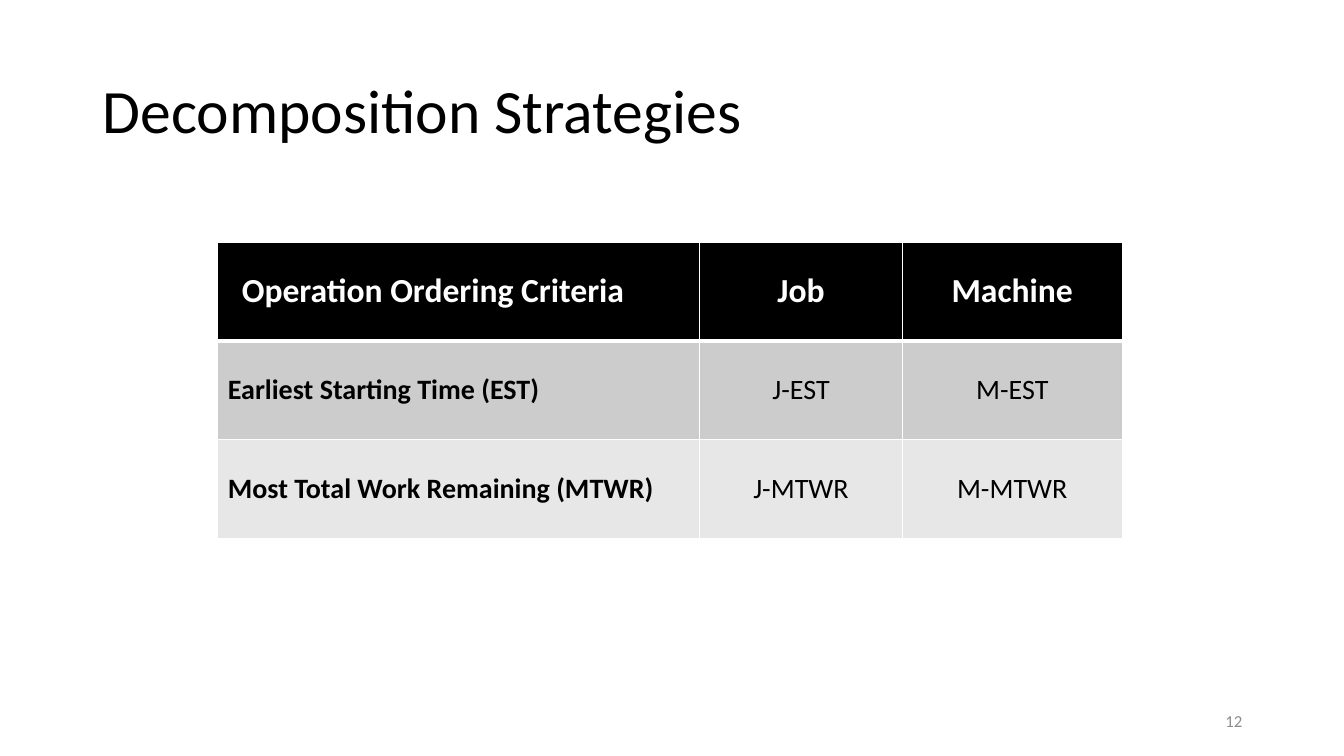
from dataclasses import dataclass

from lxml import etree
from pptx import Presentation
from pptx import util as u
from pptx.dml.color import RGBColor
from pptx.enum import text as t
from pptx.oxml import ns

BLACK = RGBColor(0x00, 0x00, 0x00)
WHITE = RGBColor(0xFF, 0xFF, 0xFF)
DARK = RGBColor(0xCC, 0xCC, 0xCC)
LIGHT = RGBColor(0xE7, 0xE7, 0xE7)
GRAY = RGBColor(0x8C, 0x8C, 0x8C)
LEFT, MID, RIGHT = t.PP_ALIGN.LEFT, t.PP_ALIGN.CENTER, t.PP_ALIGN.RIGHT


@dataclass
class Style:
    size: int
    color: RGBColor
    bold: bool = False
    align: t.PP_ALIGN = LEFT


@dataclass
class Row:
    words: tuple[str, str, str]
    fill: RGBColor
    head: bool = False


@dataclass
class Label:
    words: str
    box: tuple[float, float, float, float]
    style: Style
    anchor: t.MSO_ANCHOR


ROWS = [
    Row(("", "Job", "Machine"), BLACK, head=True),
    Row(("Earliest Starting Time (EST)", "J-EST", "M-EST"), DARK),
    Row(("Most Total Work Remaining (MTWR)", "J-MTWR", "M-MTWR"), LIGHT),
]
COLS = (4.78, 2.01, 2.18)
TALL = 0.98
LABELS = [
    Label("Operation Ordering Criteria", (2.3, 2.62, 4.2, 0.5),
          Style(24, WHITE, bold=True), t.MSO_ANCHOR.TOP),
    Label("12", (9.42, 6.95, 3, 0.4),
          Style(12, GRAY, align=RIGHT), t.MSO_ANCHOR.MIDDLE),
]


def write(frame, words: str, style: Style) -> None:
    para = frame.paragraphs[0]
    para.alignment = style.align
    if not words:
        return
    run = para.add_run()
    run.text = words
    font = run.font
    font.name, font.size, font.bold = "Calibri", u.Pt(style.size), style.bold
    font.color.rgb = style.color


def place(shape, box: tuple[float, float, float, float]) -> None:
    shape.left, shape.top, shape.width, shape.height = map(u.Inches, box)


def edge(cell, side: str, width: int) -> None:
    props = cell._tc.get_or_add_tcPr()
    line = etree.SubElement(props, ns.qn(f"a:ln{side}"), w=str(u.Pt(width)))
    fill = etree.SubElement(line, ns.qn("a:solidFill"))
    etree.SubElement(fill, ns.qn("a:srgbClr"), val=str(WHITE))


def add_grid(slide) -> None:
    grid = slide.shapes.add_table(
        len(ROWS), len(COLS), u.Inches(2.16), u.Inches(2.4),
        u.Inches(sum(COLS)), u.Inches(TALL * len(ROWS))).table
    for col, width in zip(grid.columns, COLS):
        col.width = u.Inches(width)
    for i, row in enumerate(ROWS):
        grid.rows[i].height = u.Inches(TALL)
        for j, words in enumerate(row.words):
            cell = grid.cell(i, j)
            # A thick rule parts the header from the body
            for side, width in (("L", 1), ("R", 1), ("T", 3 if i == 1 else 1),
                                ("B", 3 if row.head else 1)):
                edge(cell, side, width)
            cell.fill.solid()
            cell.fill.fore_color.rgb = row.fill
            cell.vertical_anchor = t.MSO_ANCHOR.MIDDLE
            write(cell.text_frame, words, Style(
                24 if row.head else 20, WHITE if row.head else BLACK,
                row.head or j == 0, MID if j else LEFT))


def add_label(slide, label: Label) -> None:
    box = slide.shapes.add_textbox(*map(u.Inches, label.box))
    frame = box.text_frame
    frame.word_wrap = True
    frame.vertical_anchor = label.anchor
    write(frame, label.words, label.style)


def main() -> None:
    deck = Presentation()
    deck.slide_width, deck.slide_height = u.Inches(13.33), u.Inches(7.5)
    slide = deck.slides.add_slide(deck.slide_layouts[5])

    # Title
    title = slide.shapes.title
    place(title, (0.92, 0.4, 11.5, 1.45))
    title.text_frame.vertical_anchor = t.MSO_ANCHOR.MIDDLE
    write(title.text_frame, "Decomposition Strategies", Style(44, BLACK))
    title.text_frame.paragraphs[0].line_spacing = 0.9

    # Table, then the header label and page number
    add_grid(slide)
    for label in LABELS:
        add_label(slide, label)

    deck.save("out.pptx")


if __name__ == "__main__":
    main()
